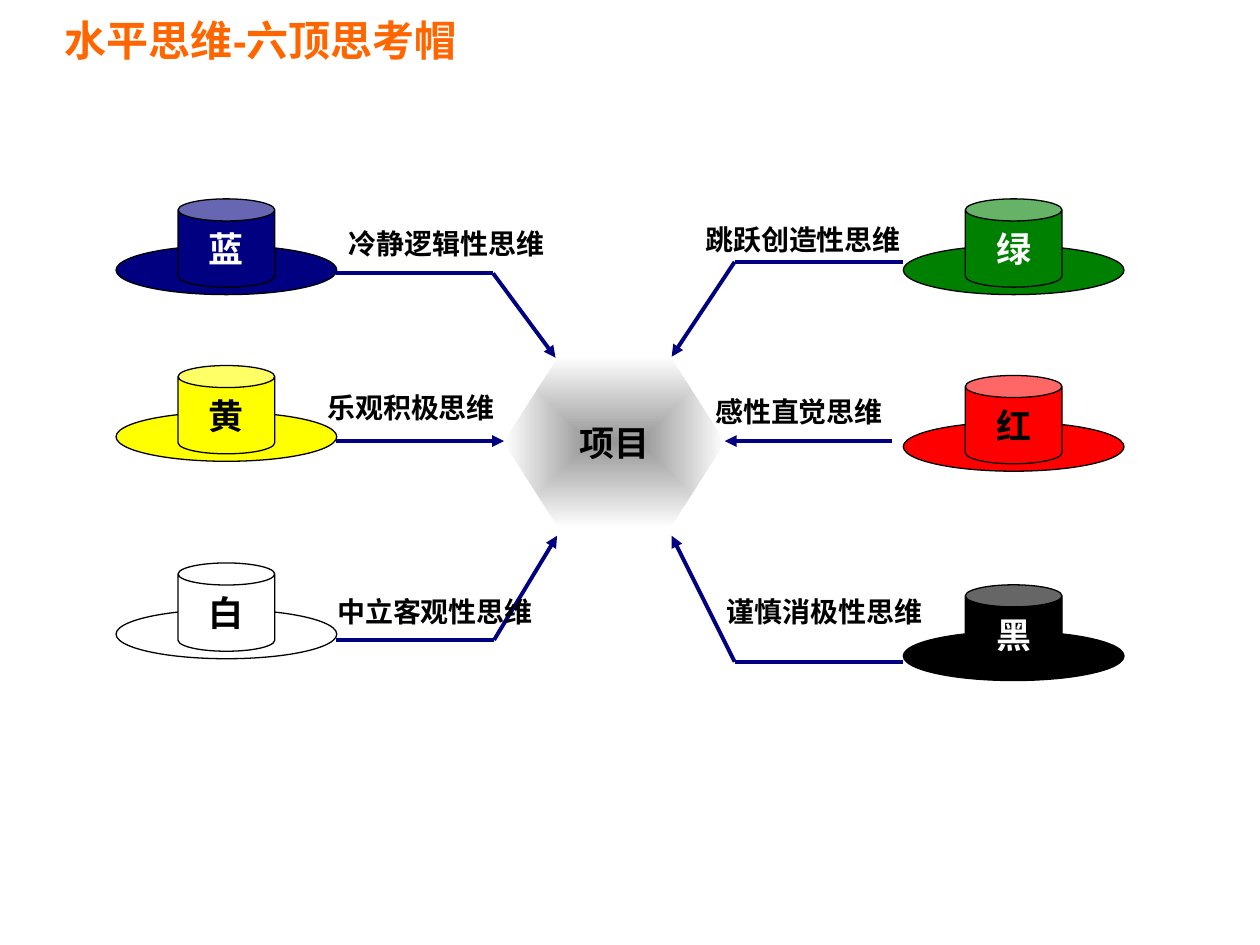
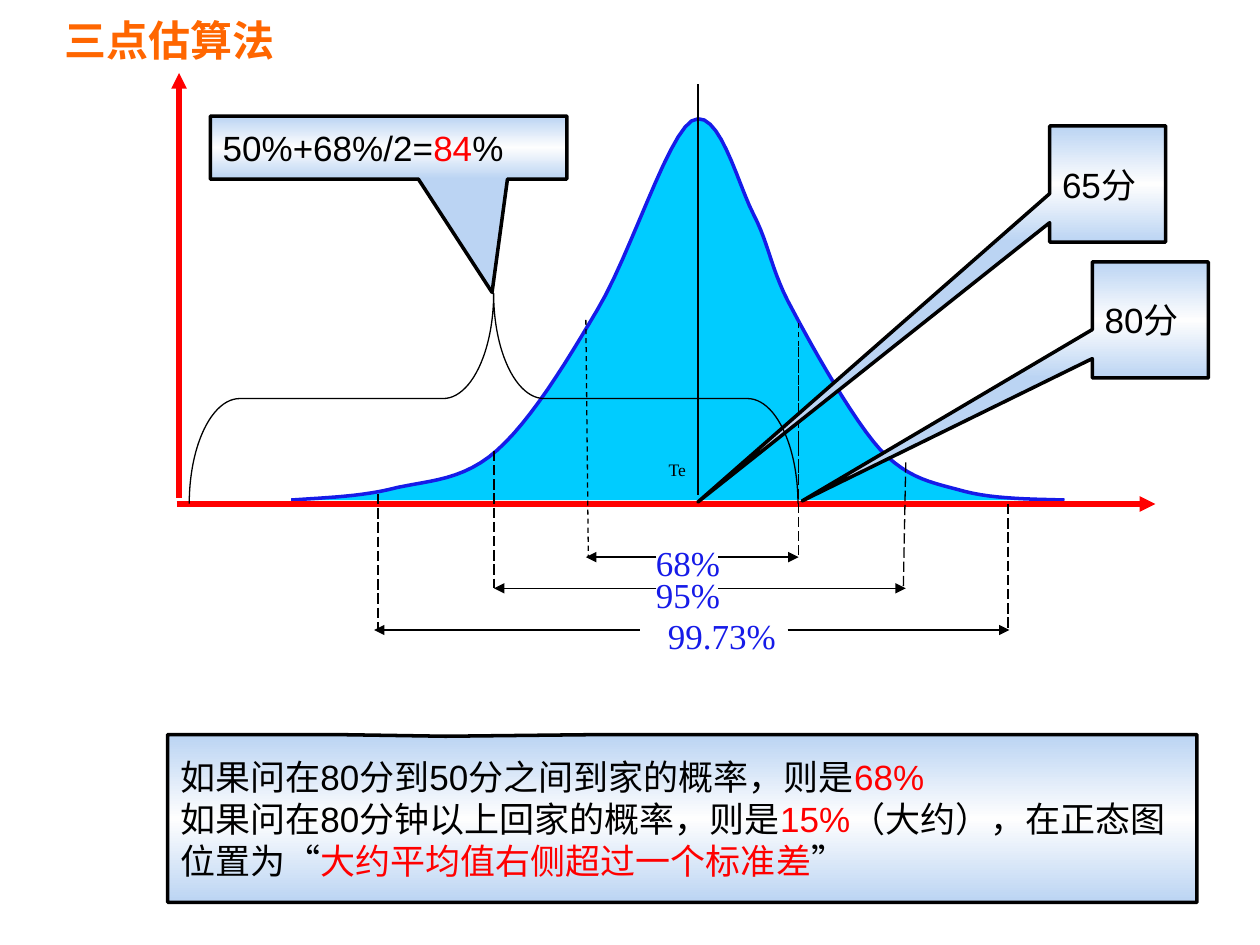
import pptx
import pptx.dml.color
import pptx.enum.dml
import pptx.enum.shapes
import pptx.enum.text
import pptx.oxml
import pptx.oxml.ns
import pptx.util
from lxml import etree

Cm = pptx.util.Cm
Pt = pptx.util.Pt
SHAPE = pptx.enum.shapes.MSO_SHAPE
DASH = pptx.enum.dml.MSO_LINE
ALIGN = pptx.enum.text.PP_ALIGN
ANCHOR = pptx.enum.text.MSO_ANCHOR
qn = pptx.oxml.ns.qn

BLACK, WHITE, RED = "000000", "FFFFFF", "FF0000"
ORANGE, NAVY, BLUE, CYAN = "FF6600", "000080", "161BE8", "00CCFF"
SERIF = "Times New Roman"
LINEAR = '<a:lin ang="5400000" scaled="0"/>'
CENTRED = ('<a:path path="rect"><a:fillToRect l="50000" t="50000" '
           'r="50000" b="50000"/></a:path>')


# Shared helpers

def color(hex_string):
    return pptx.dml.color.RGBColor.from_string(hex_string)


def paint(shape, fill=None, line=None, width=0.75):
    shape.shadow.inherit = False
    if fill:
        shape.fill.solid()
        shape.fill.fore_color.rgb = color(fill)
    else:
        shape.fill.background()
    if line:
        shape.line.color.rgb = color(line)
        shape.line.width = Pt(width)
    else:
        shape.line.fill.background()


def paint_gradient(shape, stops, direction):
    shape.fill.gradient()
    old = shape.element.spPr.find(qn("a:gradFill"))
    stop_xml = "".join(
        f'<a:gs pos="{position * 1000}"><a:srgbClr val="{value}"/></a:gs>'
        for position, value in stops)
    new = pptx.oxml.parse_xml(
        f'<a:gradFill {pptx.oxml.ns.nsdecls("a")} rotWithShape="1">'
        f"<a:gsLst>{stop_xml}</a:gsLst>{direction}</a:gradFill>")
    old.getparent().replace(old, new)


def write(shape, paragraphs, size, ink=BLACK, font="Arial", bold=False,
          align=ALIGN.LEFT, anchor=ANCHOR.MIDDLE):
    """Each paragraph is a string or a list of (text, colour) spans."""
    frame = shape.text_frame
    frame.word_wrap = True
    frame.vertical_anchor = anchor
    for index, content in enumerate(paragraphs):
        para = frame.add_paragraph() if index else frame.paragraphs[0]
        para.alignment = align
        para.font.size = Pt(size)
        para.font.name = font
        para.font.bold = bold
        para.font.color.rgb = color(ink)
        if isinstance(content, str):
            para.add_run().text = content
            continue
        for text, span_color in content:
            span = para.add_run()
            span.text = text
            span.font.color.rgb = color(span_color)


def add_text(page, left, top, width, height, text, size, **style):
    box = page.shapes.add_textbox(Cm(left), Cm(top), Cm(width), Cm(height))
    write(box, [text], size, **style)


def add_line(page, start, end, ink=BLACK, width=0.75, dash=None, arrow=False):
    connector = page.shapes.add_connector(
        pptx.enum.shapes.MSO_CONNECTOR.STRAIGHT,
        *(Cm(value) for value in (*start, *end)))
    connector.line.color.rgb = color(ink)
    connector.line.width = Pt(width)
    if dash:
        connector.line.dash_style = dash
    properties = connector.element.spPr
    if arrow:
        etree.SubElement(properties.find(qn("a:ln")), qn("a:tailEnd"),
                         type="triangle")
    etree.SubElement(properties, qn("a:effectLst"))


def add_page(deck, title):
    page = deck.slides.add_slide(deck.slide_layouts[6])
    add_text(page, 1.06, 0, 11.64, 1.59, title, 24, ink=ORANGE, bold=True)
    return page


# Six thinking hats

HAT_RIGHT = 15.87
# name, fill, ink, hat position, arrow route, label, label position
HATS = [
    ("蓝", NAVY, WHITE, (0, 0),
     [(4.44, 1.5), (7.6, 1.5), (8.86, 3.2)], "冷静逻辑性思维", (4.44, 0.44)),
    ("黄", "FFFF00", BLACK, (0, 3.36),
     [(4.44, 4.88), (7.82, 4.88)], "乐观积极思维", (4.01, 3.74)),
    ("白", WHITE, BLACK, (0, 7.34),
     [(4.44, 8.89), (7.62, 8.89), (8.89, 6.79)], "中立客观性思维", (4.21, 7.85)),
    ("黑", BLACK, WHITE, (HAT_RIGHT, 7.78),
     [(15.87, 9.33), (12.47, 9.33), (11.2, 6.79)], "谨慎消极性思维", (12.06, 7.85)),
    ("红", RED, BLACK, (HAT_RIGHT, 3.56),
     [(15.64, 4.88), (12.27, 4.88)], "感性直觉思维", (11.83, 3.81)),
    ("绿", "008000", WHITE, (HAT_RIGHT, 0),
     [(15.87, 1.27), (12.47, 1.27), (11.2, 3.18)], "跳跃创造性思维", (11.63, 0.36)),
]


def add_hat(page, left, top, name, fill, ink):
    group = page.shapes.add_group_shape()
    brim = group.shapes.add_shape(SHAPE.OVAL, Cm(left), Cm(top + 0.94),
                                  Cm(4.45), Cm(0.99))
    crown = group.shapes.add_shape(SHAPE.CAN, Cm(left + 1.25), Cm(top),
                                   Cm(1.95), Cm(1.78))
    for part in (brim, crown):
        paint(part, fill, BLACK)
    write(crown, [name], 20, ink=ink, bold=True, align=ALIGN.CENTER)


def add_hat_map(page, left, top):
    def place(point):
        return left + point[0], top + point[1]

    # Project in the middle
    project = page.shapes.add_shape(SHAPE.HEXAGON, Cm(left + 7.82),
                                    Cm(top + 3.18), Cm(4.45), Cm(3.45))
    project.adjustments[0] = 0.32
    paint(project)
    paint_gradient(project, [(0, "969696"), (100, "FEFEFE")], CENTRED)
    write(project, ["项目"], 20, bold=True, align=ALIGN.CENTER)

    # Hats, each with its route to the project and a label
    for name, fill, ink, corner, route, label, label_corner in HATS:
        add_hat(page, *place(corner), name, fill, ink)
        for start, end in zip(route, route[1:]):
            add_line(page, place(start), place(end), NAVY, 2.25,
                     arrow=end == route[-1])
        add_text(page, *place(label_corner), 5.08, 0.94, label, 16,
                 bold=True, anchor=ANCHOR.TOP)


# Three-point estimate

# Bezier chain: a start, then two handles and an end for each stretch
BELL = [
    (2.31, 8.61),
    (3.02, 8.56), (3.76, 8.54), (4.44, 8.36),
    (5.13, 8.21), (5.79, 8.21), (6.47, 7.6),
    (7.13, 7.01), (7.82, 5.9), (8.48, 4.78),
    (9.14, 3.69), (9.88, 1.3), (10.38, 0.97),
    (10.92, 0.64), (11.3, 2.21), (11.63, 2.85),
    (11.96, 3.48), (11.98, 3.99), (12.42, 4.78),
    (12.85, 5.59), (13.64, 6.99), (14.19, 7.6),
    (14.78, 8.21), (15.26, 8.26), (15.9, 8.44),
    (16.51, 8.59), (17.22, 8.59), (17.9, 8.61),
]
BASE = 8.69
# start, end, dash of the deviation marks
MARKS = [
    ((12.54, 8.06), (12.54, 4.98), DASH.DASH),
    ((8.25, 4.98), (8.3, 9.76), DASH.DASH),
    ((12.54, 5.52), (12.54, 9.71), DASH.LONG_DASH),
    ((6.4, 7.62), (6.4, 10.39), DASH.LONG_DASH),
    ((14.7, 7.85), (14.65, 10.39), DASH.LONG_DASH),
    ((16.76, BASE), (16.76, 11.23), DASH.LONG_DASH),
    ((4.06, 8.49), (4.06, 11.23), DASH.LONG_DASH),
]
# label, label box, arrow height, left tip, gap start, gap end, right tip
RANGES = [
    ("68%", (9.22, 9.33, 2.18, 1.37), 9.76, 8.25, 9.67, 10.92, 12.54),
    ("95%", (9.22, 9.96, 2.18, 1.07), 10.39, 6.4, 9.67, 10.92, 14.7),
    ("99.73%", (9.27, 10.8, 3.45, 1.42), 11.23, 3.98, 9.34, 12.32, 16.79),
]


def trace_bezier(chain, steps=12):
    points = [chain[0]]
    for first in range(0, len(chain) - 1, 3):
        corners = chain[first:first + 4]
        for step in range(1, steps + 1):
            t = step / steps
            weights = ((1 - t) ** 3, 3 * t * (1 - t) ** 2,
                       3 * t * t * (1 - t), t ** 3)
            points.append(tuple(
                sum(weight * corner[axis]
                    for weight, corner in zip(weights, corners))
                for axis in (0, 1)))
    return points


def add_bell_chart(page, left, top):
    def place(x, y):
        return left + x, top + y

    # Bell curve
    points = [tuple(Cm(value) for value in place(*point))
              for point in trace_bezier(BELL)]
    builder = page.shapes.build_freeform(*points[0])
    builder.add_line_segments(points[1:], close=False)
    paint(builder.convert_to_shape(), CYAN, BLUE, 2)

    # Axes and mean
    add_line(page, place(0, BASE), place(19.73, BASE), RED, 3, arrow=True)
    add_line(page, place(0.05, 8.56), place(0.05, 0), RED, 3, arrow=True)
    add_line(page, place(10.51, 0.23), place(10.51, 8.51))
    add_text(page, *place(9.67, 7.65), 2.54, 1.12, "Te", 10,
             font=SERIF, anchor=ANCHOR.TOP)

    # Deviation marks and ranges
    for start, end, dash in MARKS:
        add_line(page, place(*start), place(*end), dash=dash)
    for label, (x, y, width, height), level, *stops in RANGES:
        left_tip, gap_start, gap_end, right_tip = stops
        add_text(page, *place(x, y), width, height, label, 20, ink=BLUE,
                 font=SERIF, align=ALIGN.CENTER, anchor=ANCHOR.TOP)
        for start, tip in ((gap_start, left_tip), (gap_end, right_tip)):
            add_line(page, place(start, level), place(tip, level), arrow=True)


def add_brace(page, left, top):
    brace = page.shapes.add_shape(SHAPE.LEFT_BRACE, Cm(left), Cm(top),
                                  Cm(4.24), Cm(12.27))
    brace.rotation = 90
    brace.adjustments[0] = 0.24
    paint(brace, line=BLACK)


def add_callout(page, left, top, width, height, tail, paragraphs):
    callout = page.shapes.add_shape(SHAPE.RECTANGULAR_CALLOUT, Cm(left),
                                    Cm(top), Cm(width), Cm(height))
    callout.adjustments[0], callout.adjustments[1] = tail
    paint(callout, line=BLACK, width=2)
    paint_gradient(callout, [(0, "BBD4F3"), (50, "FEFEFE"), (100, "BBD4F3")],
                   LINEAR)
    write(callout, paragraphs, 20)


def main():
    deck = pptx.Presentation()
    deck.slide_width, deck.slide_height = Cm(25.4), Cm(19.05)

    add_hat_map(add_page(deck, "水平思维-六顶思考帽"), 2.34, 4.01)

    page = add_page(deck, "三点估算法")
    add_bell_chart(page, 3.56, 1.47)
    add_callout(page, 3.38, 14.81, 20.75, 3.38, (-0.23, -0.49), [
        [("如果问在80分到50分之间到家的概率，则是", BLACK), ("68%", RED)],
        [("如果问在80分钟以上回家的概率，则是", BLACK), ("15%", RED),
         ("（大约），在正态图位置为“", BLACK),
         ("大约平均值右侧超过一个标准差", RED), ("”", BLACK)],
    ])
    add_callout(page, 21.16, 2.54, 2.34, 2.34, (-3.53, 2.74), ["65分"])
    add_callout(page, 22.02, 5.28, 2.34, 2.34, (-3, 1.56), ["80分"])
    add_brace(page, 7.83, 1.9)
    add_callout(page, 4.24, 2.34, 7.19, 1.27, (0.29, 2.3),
                [[("50%+68%/2=", BLACK), ("84", RED), ("%", BLACK)]])

    deck.save("out.pptx")


if __name__ == "__main__":
    main()
